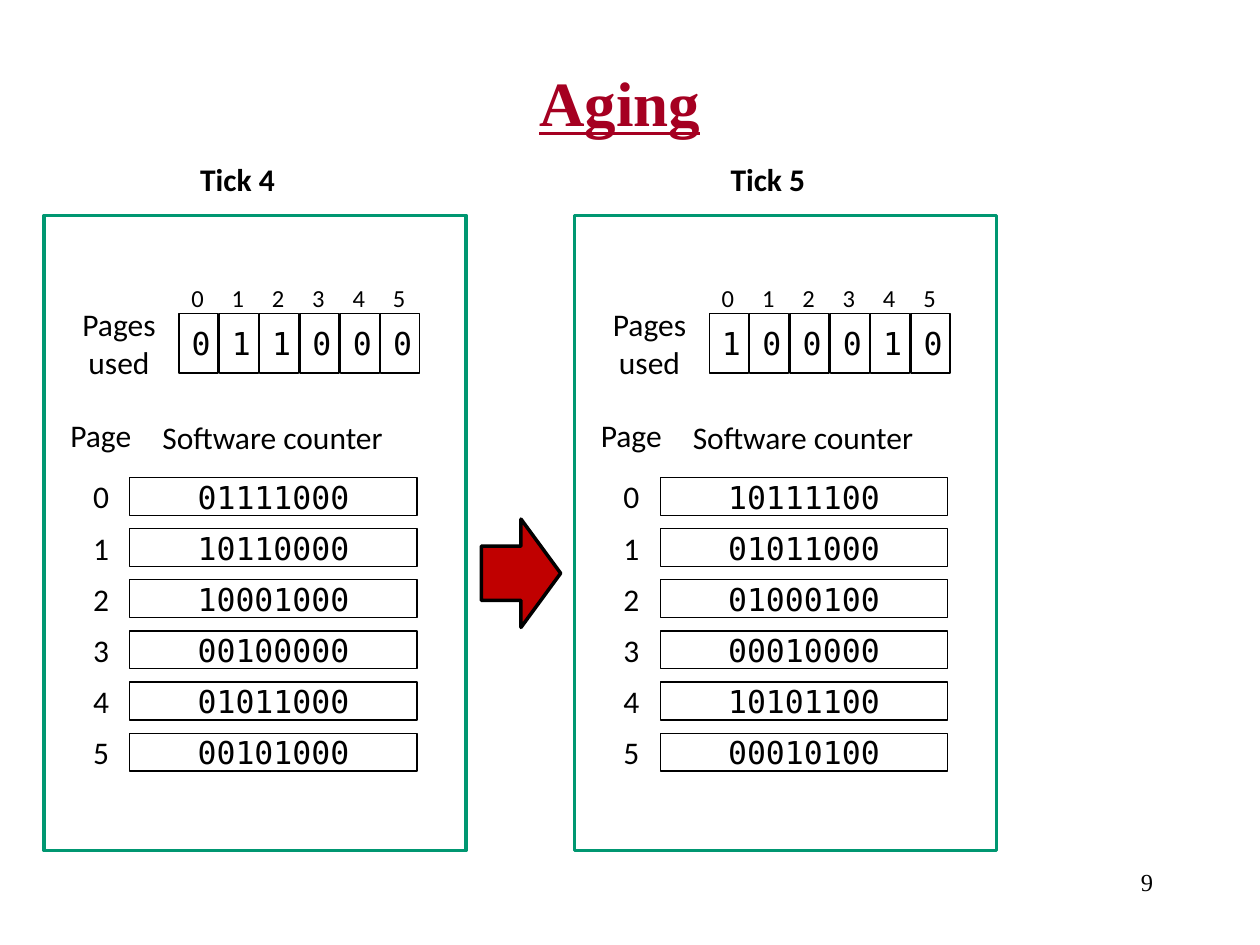
import pptx
import pptx.util
import pptx.dml.color
import pptx.enum.shapes
import pptx.enum.text

Inches = pptx.util.Inches
SHAPE = pptx.enum.shapes.MSO_SHAPE
ALIGN = pptx.enum.text.PP_ALIGN
ANCHOR = pptx.enum.text.MSO_ANCHOR

COLORS = {"title": "A50021", "text": "000000", "frame": "009771", "arrow": "C00000"}
SANS, MONO, SERIF = "Calibri", "DejaVu Sans Mono", "Times New Roman"

TICKS = [
    ("Tick 4", 0.35, "011000",
     ["01111000", "10110000", "10001000", "00100000", "01011000", "00101000"]),
    ("Tick 5", 4.56, "100010",
     ["10111100", "01011000", "01000100", "00010000", "10101100", "00010100"]),
]


def rgb(name):
    return pptx.dml.color.RGBColor.from_string(COLORS[name])


def write(sp, text, size=18, font=SANS, color="text", bold=False, underline=False,
          align=ALIGN.LEFT, anchor=ANCHOR.TOP, wrap=False):
    tf = sp.text_frame
    tf.word_wrap = wrap
    tf.vertical_anchor = anchor
    p = tf.paragraphs[0]
    p.alignment = align
    r = p.add_run()
    r.text = text
    r.font.size = pptx.util.Pt(size)
    r.font.name = font
    r.font.bold = bold
    r.font.underline = underline
    r.font.color.rgb = rgb(color)


def add_label(s, box, text, **fmt):
    write(s.shapes.add_textbox(*map(Inches, box)), text, **fmt)


def add_block(s, box, kind=SHAPE.RECTANGLE, fill=None, line="text", width=0.75):
    sp = s.shapes.add_shape(kind, *map(Inches, box))
    sp.shadow.inherit = False
    if fill:
        sp.fill.solid()
        sp.fill.fore_color.rgb = rgb(fill)
    else:
        sp.fill.background()
    sp.line.color.rgb = rgb(line)
    sp.line.width = pptx.util.Pt(width)
    return sp


def add_cell(s, box, text, inset=0):
    sp = add_block(s, box)
    tf = sp.text_frame
    tf.margin_left = Inches(inset)
    tf.margin_top = tf.margin_right = tf.margin_bottom = 0
    write(sp, text, font=MONO, align=ALIGN.CENTER, anchor=ANCHOR.MIDDLE, wrap=True)


def add_used_pages(s, x, y, bits):
    add_label(s, (x, y + 0.17, 0.87, 0.71), "Pages used", align=ALIGN.CENTER, wrap=True)
    for i, bit in enumerate(bits):
        left = x + 0.91 + i * 0.32
        add_cell(s, (left, y + 0.29, 0.31, 0.47), bit, inset=0.04)
        add_label(s, (left, y, 0.3, 0.34), str(i), size=14)


def add_counters(s, x, y, counters):
    add_label(s, (x, y, 0.69, 0.4), "Page")
    add_label(s, (x + 0.73, y + 0.02, 1.98, 0.4), "Software counter")
    pitch = 2.03 / (len(counters) - 1)
    for i, counter in enumerate(counters):
        top = y + 0.49 + i * pitch
        add_cell(s, (x + 0.57, top + 0.05, 2.28, 0.3), counter)
        add_label(s, (x + 0.18, top, 0.33, 0.4), str(i))


def add_tick(s, box, name, bits, counters):
    x, y, w, h = box
    add_label(s, (x + 1.14, y - 0.49, 0.8, 0.4), name, bold=True)
    add_block(s, box, line="frame", width=2)
    add_used_pages(s, x + 0.16, y + 0.49, bits)
    add_counters(s, x + 0.11, y + 1.54, counters)


def add_title(s, box, text):
    sp = s.shapes.title
    sp.left, sp.top, sp.width, sp.height = map(Inches, box)
    write(sp, text, size=36, font=SERIF, color="title", bold=True, underline=True,
          align=ALIGN.CENTER, anchor=ANCHOR.MIDDLE, wrap=True)


def main():
    prs = pptx.Presentation()
    prs.slide_width, prs.slide_height = Inches(10), Inches(7.5)
    s = prs.slides.add_slide(prs.slide_layouts[5])
    add_title(s, (0.67, 0.18, 8.5, 1.25), "Aging")
    for name, left, bits, counters in TICKS:
        add_tick(s, (left, 1.71, 3.35, 5.04), name, bits, counters)
    add_block(s, (3.82, 4.12, 0.63, 0.86), SHAPE.RIGHT_ARROW, fill="arrow", width=2)
    add_label(s, (7.17, 6.83, 2.08, 0.5), "9", size=14, font=SERIF,
              align=ALIGN.RIGHT, wrap=True)
    prs.save("out.pptx")


if __name__ == "__main__":
    main()
